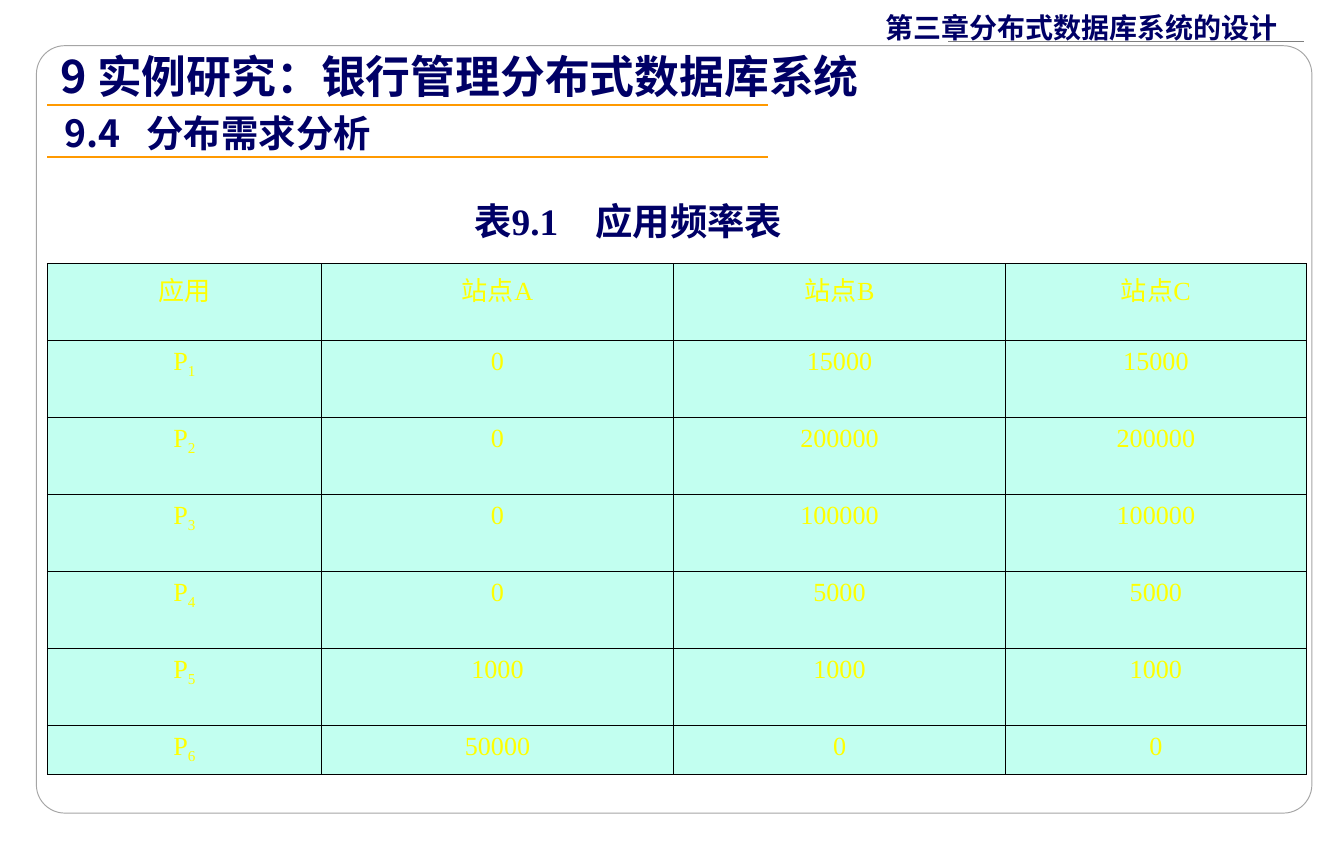
from lxml import etree
from pptx import Presentation
from pptx.dml.color import RGBColor
from pptx.enum.shapes import MSO_CONNECTOR, MSO_SHAPE
from pptx.enum.text import PP_ALIGN
from pptx.oxml.ns import qn
from pptx.util import Pt

LINE = MSO_CONNECTOR.STRAIGHT
ROUND_RECT = MSO_SHAPE.ROUNDED_RECTANGLE
CENTER = PP_ALIGN.CENTER

SANS = "Noto Sans CJK SC"
SERIF = "Times New Roman"
NAVY = "000066"
ORANGE = "FF9900"
YELLOW = "FFFF00"
MINT = "C2FFF0"

COL_WIDTHS = [147, 188.5, 178, 161]
ROW_HEIGHTS = [41.25] * 6 + [24]
HEADINGS = ["应用", "站点A", "站点B", "站点C"]
FREQUENCIES = [
    (0, 15000, 15000),
    (0, 200000, 200000),
    (0, 100000, 100000),
    (0, 5000, 5000),
    (1000, 1000, 1000),
    (50000, 0, 0),
]


def rgb(value):
    return RGBColor.from_string(value)


def sub(parent, tag, **attrs):
    return etree.SubElement(parent, qn(tag), attrs)


def add_run(p, text, size=20, font=SANS, color=NAVY, bold=True, baseline=0):
    r = p.add_run()
    r.text = text
    r.font.size = Pt(size)
    r.font.bold = bold
    r.font.color.rgb = rgb(color)
    r.font.name = font
    rpr = r.font._element
    sub(rpr, "a:ea", typeface=SANS)
    if baseline:
        rpr.set("baseline", str(baseline * 1000))


def add_box(s, box, inset=7.2, tab=None):
    tf = s.shapes.add_textbox(*map(Pt, box)).text_frame
    tf.word_wrap = True
    tf.margin_left = tf.margin_right = Pt(inset)
    tf.margin_top = tf.margin_bottom = Pt(3.6)
    p = tf.paragraphs[0]
    if tab:
        tabs = sub(p._p.get_or_add_pPr(), "a:tabLst")
        sub(tabs, "a:tab", pos=str(Pt(tab)), algn="l")
    return p


def add_rule(s, left, right, y, color, width):
    line = s.shapes.add_connector(LINE, Pt(left), Pt(y), Pt(right), Pt(y))
    line.line.color.rgb = rgb(color)
    line.line.width = Pt(width)
    sub(line._element.spPr, "a:effectLst")


def add_panel(s, box):
    sp = s.shapes.add_shape(ROUND_RECT, *map(Pt, box))
    sp.adjustments[0] = 0.037
    sp.shadow.inherit = False
    sp.fill.solid()
    sp.fill.fore_color.rgb = rgb("FFFFFF")
    sub(sp._element.spPr.find(qn("a:solidFill"))[0], "a:alpha", val="85000")
    sp.line.color.rgb = rgb("A5A5A5")
    sp.line.width = Pt(0.5)


def add_chapter(s, box):
    left, top, width, height = box
    p = add_box(s, box, inset=6.5)
    add_run(p, "第三章", size=15)
    add_run(p, "分布式数据库系统的设计", size=15, font=SERIF)
    add_rule(s, left + width + 3.6, left + 39.6, top + 20.2, "7F7F7F", 0.75)


def add_headings(s, box):
    left, top, width, height = box
    for y in (top + 33.8, top + 61.9):
        add_rule(s, left, left + 386, y, ORANGE, 1)
    p = add_box(s, (left, top, width, 36))
    add_run(p, "9 实例研究：银行管理分布式数据库系统", size=24)
    p = add_box(s, (left + 2.2, top + 33.1, 417.6, 31.7), tab=44)
    add_run(p, "9.4\t分布需求分析")


def add_caption(s, box):
    p = add_box(s, box, tab=64.8)
    p.line_spacing = 0.9
    add_run(p, "表9.1\t应用频率表", font=SERIF)


def style_cell(cell):
    cell.margin_left = cell.margin_right = Pt(5.8)
    cell.margin_top = cell.margin_bottom = Pt(3.6)
    tcpr = cell._tc.get_or_add_tcPr()
    for side in ("a:lnL", "a:lnR", "a:lnT", "a:lnB"):
        ln = sub(tcpr, side, w=str(Pt(0.45)))
        sub(sub(ln, "a:solidFill"), "a:srgbClr", val="000000")
    cell.fill.solid()
    cell.fill.fore_color.rgb = rgb(MINT)


def add_frequency_table(s, box):
    rows = [HEADINGS] + [("P", *values) for values in FREQUENCIES]
    table = s.shapes.add_table(len(rows), len(HEADINGS), *map(Pt, box)).table
    table.first_row = table.horz_banding = False
    for col, width in zip(table.columns, COL_WIDTHS):
        col.width = Pt(width)
    for row, height in zip(table.rows, ROW_HEIGHTS):
        row.height = Pt(height)
    fmt = {"size": 14, "font": SERIF, "color": YELLOW, "bold": False}
    for i, row in enumerate(rows):
        for j, value in enumerate(row):
            cell = table.cell(i, j)
            style_cell(cell)
            p = cell.text_frame.paragraphs[0]
            p.alignment = CENTER
            add_run(p, str(value), **fmt)
            if i and j == 0:
                add_run(p, str(i), baseline=-25, **fmt)


def main():
    prs = Presentation()
    prs.slide_width, prs.slide_height = Pt(720), Pt(452.16)
    s = prs.slides.add_slide(prs.slide_layouts[6])
    add_panel(s, (19.5, 24.5, 683.3, 411.1))
    add_chapter(s, (468, 2.2, 226.8, 24.5))
    add_frequency_table(s, (25.3, 141.1, sum(COL_WIDTHS), sum(ROW_HEIGHTS)))
    add_headings(s, (25.3, 22.3, 475.9, 64.8))
    add_caption(s, (247, 105.1, 289.4, 28.8))
    prs.save("out.pptx")


if __name__ == "__main__":
    main()
